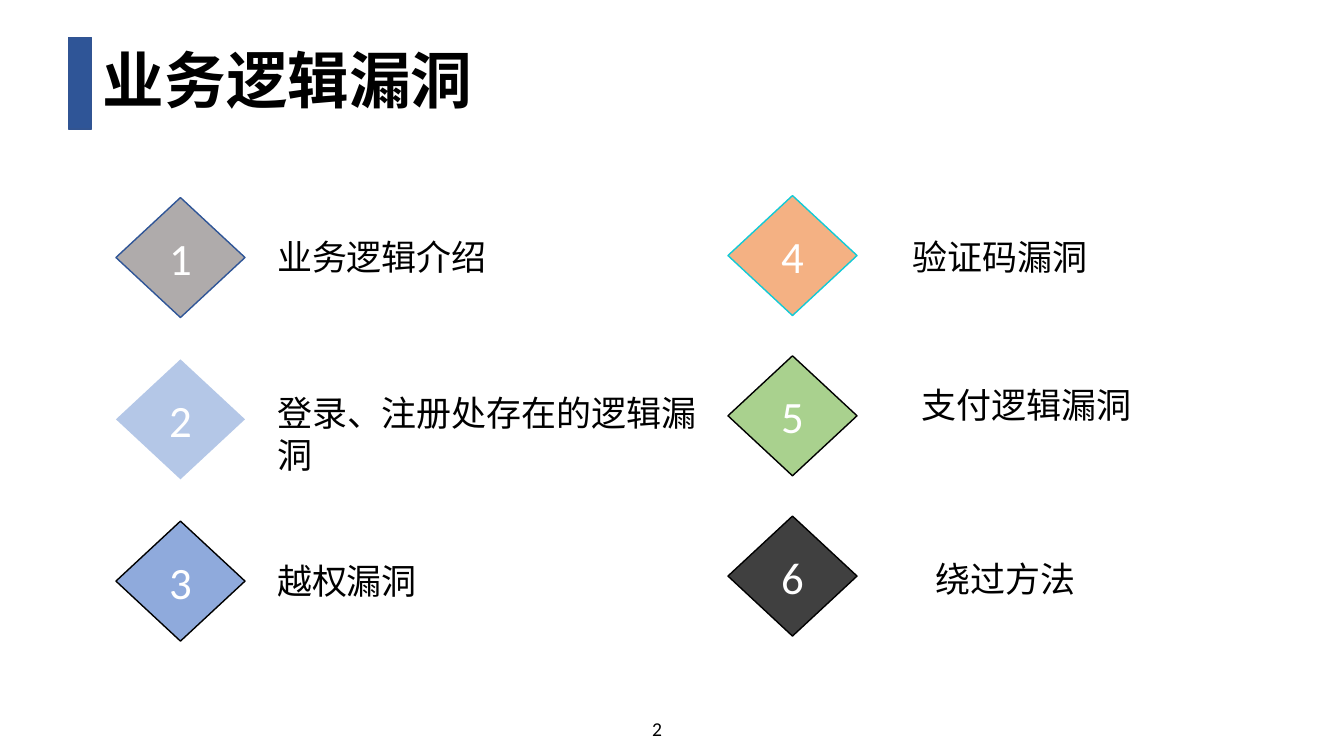
from pptx import Presentation
from pptx.dml.color import RGBColor
from pptx.enum.shapes import MSO_SHAPE
from pptx.enum.text import MSO_ANCHOR, PP_ALIGN
from pptx.util import Inches, Pt

RECT, DIAMOND = MSO_SHAPE.RECTANGLE, MSO_SHAPE.DIAMOND
MIDDLE = MSO_ANCHOR.MIDDLE
LEFT, CENTER = PP_ALIGN.LEFT, PP_ALIGN.CENTER

BLACK = RGBColor(0x00, 0x00, 0x00)
WHITE = RGBColor(0xFF, 0xFF, 0xFF)
NAVY = RGBColor(0x2F, 0x55, 0x97)
EDGE = RGBColor(0x32, 0x54, 0x91)
GRAY = RGBColor(0xAF, 0xAB, 0xAB)
PALE = RGBColor(0xB4, 0xC7, 0xE7)
BLUE = RGBColor(0x8F, 0xAA, 0xDC)
PEACH = RGBColor(0xF4, 0xB1, 0x83)
CYAN = RGBColor(0x12, 0xCA, 0xD6)
GREEN = RGBColor(0xA9, 0xD1, 0x8E)
DARK = RGBColor(0x40, 0x40, 0x40)

FONT = "Calibri"
TITLE = "业务逻辑漏洞"
PAGE = "2"

# label, fill, line, label shift (x, y) from its diamond, label size
COLUMNS = [
    (1.15, 1.96, 1.605, [
        ("业务逻辑介绍", GRAY, NAVY, (1.5, 0.33), (2.87, 0.52)),
        ("登录、注册处存在的逻辑漏洞", PALE, None, (1.5, 0.27), (4.45, 0.94)),
        ("越权漏洞", BLUE, BLACK, (1.5, 0.33), (6.67, 0.52)),
    ]),
    (7.22, 1.94, 1.59, [
        ("验证码漏洞", PEACH, CYAN, (1.73, 0.35), (2.87, 0.52)),
        ("支付逻辑漏洞", GREEN, BLACK, (1.82, 0.23), (2.87, 0.52)),
        ("绕过方法", DARK, BLACK, (1.96, 0.36), (2.87, 0.52)),
    ]),
]
GEM = (1.28, 1.19)


def write(frame, text, size, color, align=LEFT, bold=False):
    frame.text = text
    para = frame.paragraphs[0]
    para.alignment = align
    font = para.runs[0].font
    font.name, font.size, font.bold = FONT, Pt(size), bold
    font.color.rgb = color


def add_form(slide, kind, box, fill, line):
    form = slide.shapes.add_shape(kind, *map(Inches, box))
    form.shadow.inherit = False
    form.fill.solid()
    form.fill.fore_color.rgb = fill
    if line is None:
        form.line.fill.background()
    else:
        form.line.color.rgb = line
        form.line.width = Pt(1)
    return form


def add_text(slide, box, text, size, wrap=True):
    frame = slide.shapes.add_textbox(*map(Inches, box)).text_frame
    frame.word_wrap = wrap
    write(frame, text, size, BLACK)


def main():
    deck = Presentation()
    deck.slide_width, deck.slide_height = Inches(13.33), Inches(7.5)
    slide = deck.slides.add_slide(deck.slide_layouts[5])

    title = slide.shapes.title
    title.left, title.top, title.width, title.height = map(
        Inches, (0.92, 0.37, 11.5, 0.91))
    title.text_frame.vertical_anchor = MIDDLE
    write(title.text_frame, TITLE, 44, BLACK, bold=True)
    title.text_frame.paragraphs[0].line_spacing = 0.9

    add_form(slide, RECT, (0.68, 0.37, 0.23, 0.91), NAVY, EDGE)
    add_text(slide, (6.37, 7.06, 0.44, 0.34), PAGE, 14, wrap=False)

    count = 0
    for left, start, pitch, items in COLUMNS:
        for row, (label, fill, line, shift, size) in enumerate(items):
            count += 1
            top = start + row * pitch
            gem = add_form(slide, DIAMOND, (left, top, *GEM), fill, line)
            gem.text_frame.vertical_anchor = MIDDLE
            write(gem.text_frame, str(count), 32, WHITE, CENTER)
            add_text(slide, (left + shift[0], top + shift[1], *size), label, 25)

    deck.save("out.pptx")


if __name__ == "__main__":
    main()
